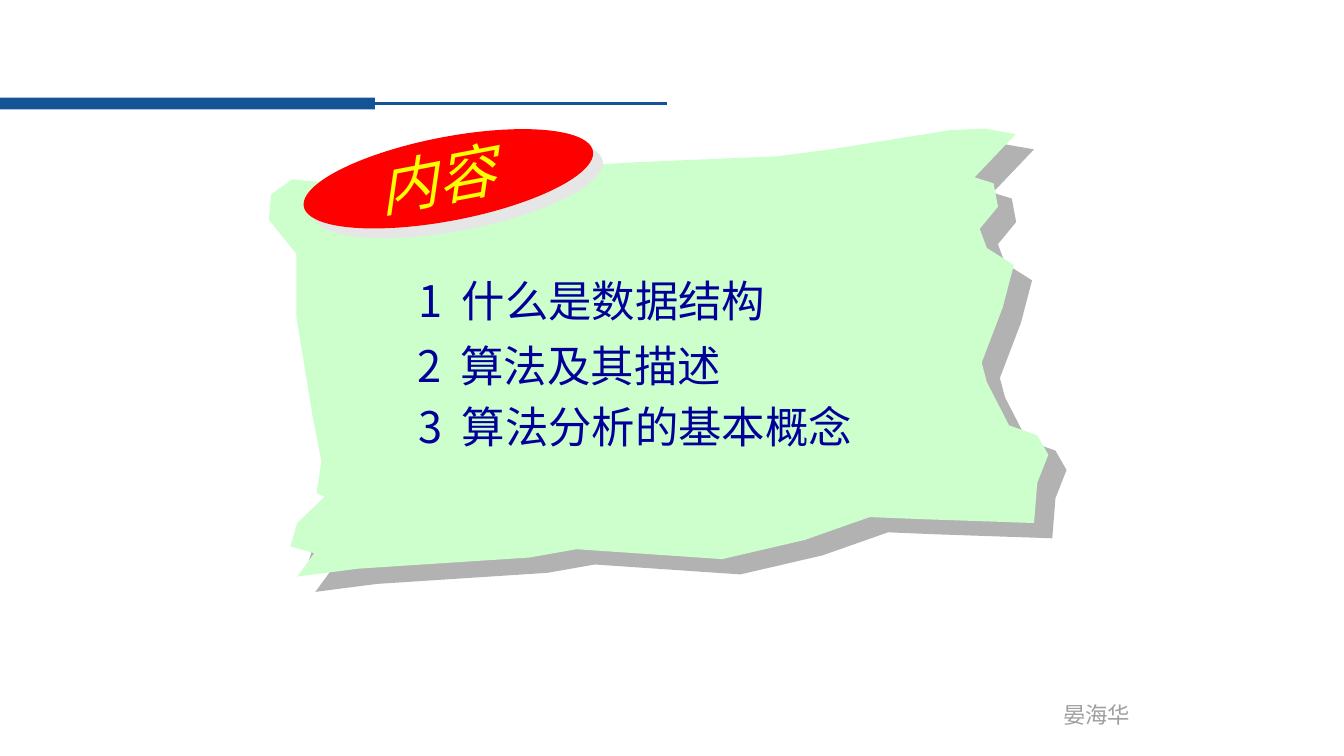
import pptx
import pptx.util
import pptx.dml.color
import pptx.enum.shapes
import pptx.enum.text
import pptx.oxml
import pptx.oxml.ns

Cm = pptx.util.Cm
Pt = pptx.util.Pt
RGBColor = pptx.dml.color.RGBColor
Shape = pptx.enum.shapes.MSO_SHAPE

BLUE = RGBColor(0x14, 0x53, 0x96)
NAVY = RGBColor(0x00, 0x00, 0x99)
MINT = RGBColor(0xCC, 0xFF, 0xCC)
RED = RGBColor(0xFF, 0x00, 0x00)
YELLOW = RGBColor(0xFF, 0xFF, 0x00)
GRAY = RGBColor(0x9F, 0x9F, 0x9F)
SHADE = RGBColor(0xB2, 0xB2, 0xB2)
PALE = RGBColor(0xE7, 0xE6, 0xE6)
CJK = "Noto Sans CJK SC"
TILT = -10.9

EDGE = [
    (8.38, 4.62), (11.02, 4.47), (12.17, 4.32), (16, 4.09), (19.58, 3.94),
    (20.96, 3.76), (23.95, 3.28), (24.8, 3.24), (25.6, 3.38), (24.56, 4.47),
    (25.04, 4.62), (25.15, 5.21), (24.69, 5.77), (24.87, 6.25), (25.55, 6.68),
    (25.27, 7.75), (24.74, 9.14), (24.87, 9.63), (25.43, 10.72),
    (26.14, 10.97), (26.42, 11.46), (26.14, 12.17), (26.06, 13.18),
    (23.14, 13.08), (21.92, 13.03), (20.27, 13.61), (18.2, 14.09),
    (14.53, 13.84), (13.34, 14.05), (9.04, 14.33), (7.49, 14.53),
    (7.92, 13.94), (7.32, 13.77), (7.49, 13.18), (8.18, 12.52),
    (7.98, 12.42), (8.1, 11.63), (7.87, 10.44), (7.47, 7.98), (7.47, 6.4),
    (6.78, 5.54), (6.83, 4.9), (7.37, 4.52),
]


def write(frame, text, font=CJK, size=31, color=NAVY, slant=False, lead=0):
    para = frame.paragraphs[0]
    for part, gap in ((text[:lead], 350), (text[lead:], 0)):
        if not part:
            continue
        run = para.add_run()
        run.text = part
        run.font.name = font
        run.font.size = Pt(size)
        run.font.italic = slant
        run.font.color.rgb = color
        props = run.font._element
        east = pptx.oxml.parse_xml(
            f'<a:ea {pptx.oxml.ns.nsdecls("a")} typeface="{CJK}"/>')
        props.find(pptx.oxml.ns.qn("a:latin")).addnext(east)
        if gap:
            props.set("spc", str(gap))


class Page:
    def __init__(self, deck):
        self.slide = deck.slides.add_slide(deck.slide_layouts[6])
        self.shapes = self.slide.shapes

    def paint(self, shape, fill, shade=None, dist=0, angle=0):
        shape.fill.solid()
        shape.fill.fore_color.rgb = fill
        shape.line.fill.background()
        shape.shadow.inherit = False
        if shade is not None:
            effects = shape._element.spPr.find(pptx.oxml.ns.qn("a:effectLst"))
            effects.append(pptx.oxml.parse_xml(
                f'<a:outerShdw {pptx.oxml.ns.nsdecls("a")} blurRad="0" '
                f'dist="{int(Pt(dist))}" dir="{angle * 60000}" algn="ctr" '
                f'rotWithShape="0"><a:srgbClr val="{shade}"/></a:outerShdw>'))
        return shape

    def block(self, kind, box, fill, turn=0, **shadow):
        shape = self.shapes.add_shape(kind, *map(Cm, box))
        shape.rotation = turn
        return self.paint(shape, fill, **shadow)

    def sheet(self, edge, fill, **shadow):
        dots = [(Cm(x), Cm(y)) for x, y in edge]
        form = self.shapes.build_freeform(*dots[0], scale=1.0)
        form.add_line_segments(dots[1:], close=True)
        return self.paint(form.convert_to_shape(), fill, **shadow)

    def rule(self, x1, y1, x2, y2, color, width):
        line = self.shapes.add_connector(
            pptx.enum.shapes.MSO_CONNECTOR.STRAIGHT, *map(Cm, (x1, y1, x2, y2)))
        line.line.color.rgb = color
        line.line.width = Pt(width)
        line._element.spPr.append(pptx.oxml.parse_xml(
            f'<a:effectLst {pptx.oxml.ns.nsdecls("a")}/>'))

    def label(self, text, box, turn=0, wrap=True, **style):
        shape = self.shapes.add_textbox(*map(Cm, box))
        shape.rotation = turn
        frame = shape.text_frame
        frame.word_wrap = wrap
        frame.margin_top = frame.margin_bottom = 0
        frame.vertical_anchor = pptx.enum.text.MSO_ANCHOR.MIDDLE
        write(frame, text, **style)
        return shape


def main():
    deck = pptx.Presentation()
    deck.slide_width = Cm(33.87)
    deck.slide_height = Cm(19.05)
    page = Page(deck)

    page.label("晏海华", (26.54, 17.53, 2.24, 0.94), wrap=False,
               font="Calibri", size=16, color=GRAY)
    page.block(Shape.RECTANGLE, (0, 2.46, 9.45, 0.3), BLUE)
    page.rule(9.35, 2.6, 16.81, 2.6, BLUE, 2.25)
    page.sheet(EDGE, MINT, shade=SHADE, dist=17, angle=40)

    badge = page.block(Shape.OVAL, (7.59, 3.45, 7.42, 2.11), RED, turn=TILT,
                       shade=PALE, dist=9.9, angle=45)
    title = page.label("内容", (9.25, 3.4, 4.17, 2.03), turn=TILT,
                       font="Calibri", size=42, color=YELLOW, slant=True)
    page.shapes.add_group_shape([badge, title])

    topics = [("什么是数据结构", 10.29, 6.78), ("算法及其描述", 10.26, 8.41),
              ("算法分析的基本概念", 10.29, 9.96)]
    for num, (topic, left, top) in enumerate(topics, 1):
        page.label(f"{num} {topic}", (left, top, 13.7, 1.57), lead=2)

    deck.save("out.pptx")


if __name__ == "__main__":
    main()
